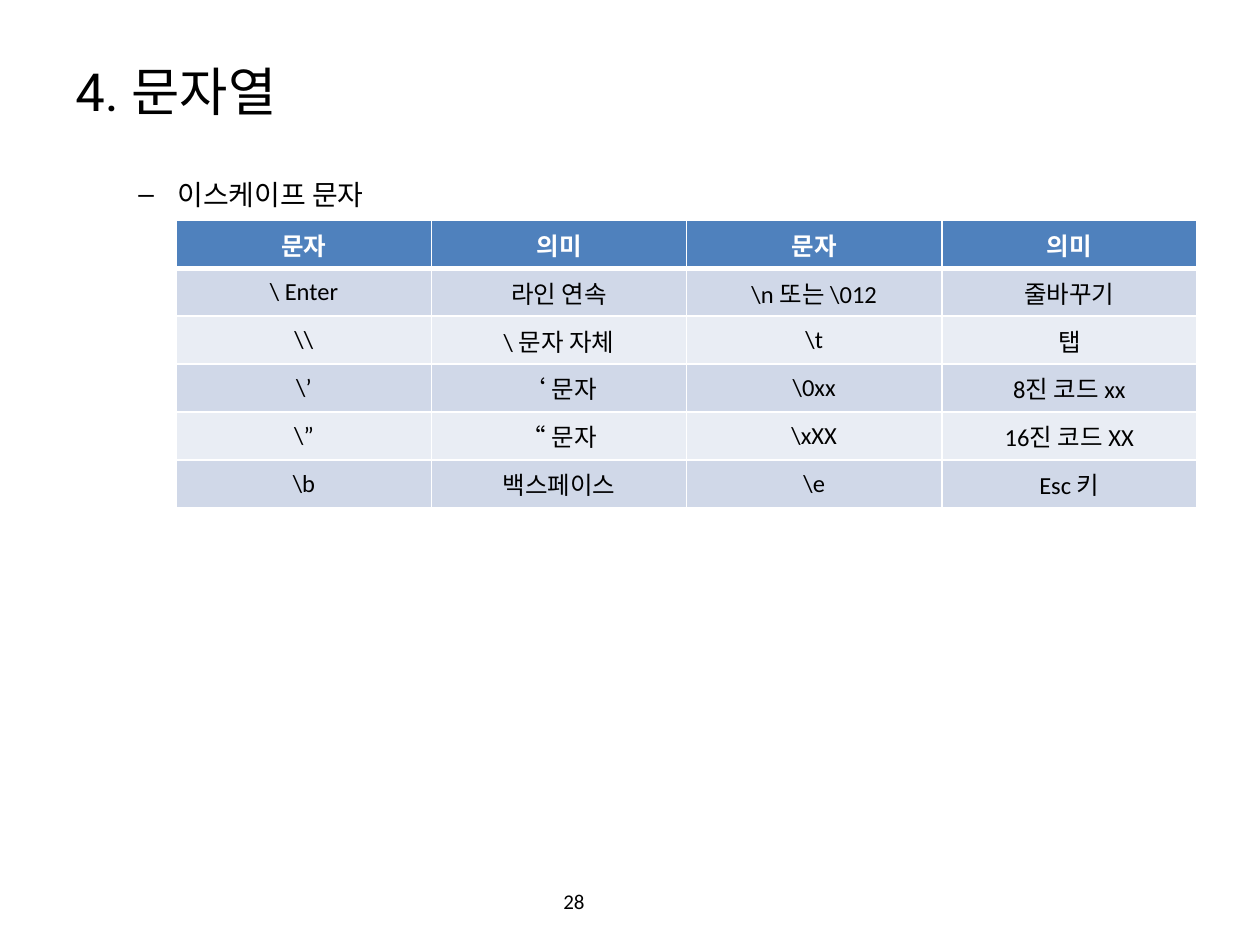
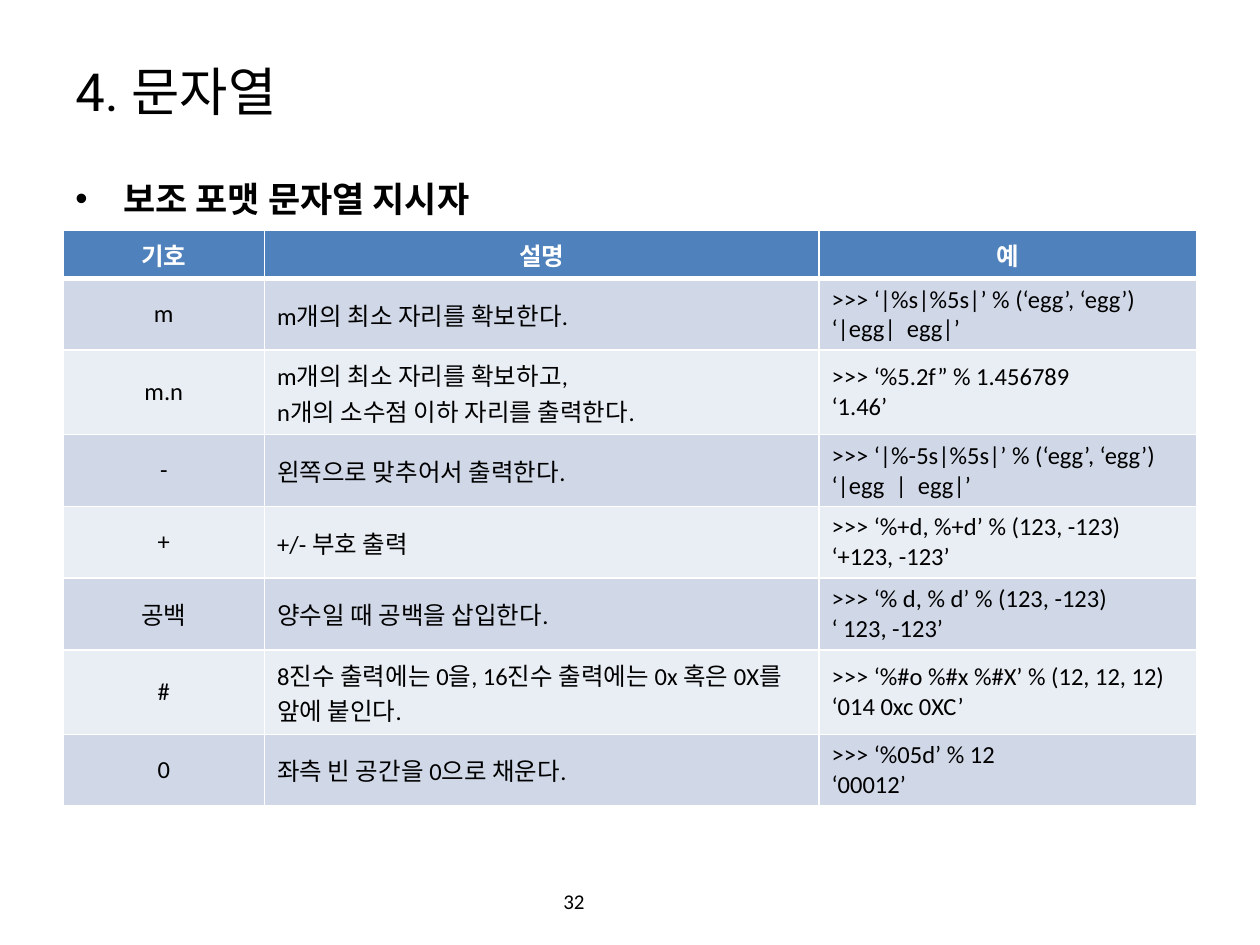
from lxml import etree
from pptx import Presentation
from pptx.dml.color import RGBColor
from pptx.enum.text import MSO_ANCHOR, PP_ALIGN
from pptx.oxml.ns import qn
from pptx.util import Inches, Pt

MIDDLE, TOP = MSO_ANCHOR.MIDDLE, MSO_ANCHOR.TOP
LEFT, CENTER = PP_ALIGN.LEFT, PP_ALIGN.CENTER
COLORS = {
    "text": "000000",
    "header": "4F81BD",
    "header_text": "FFFFFF",
    "band_dark": "D0D8E8",
    "band_light": "E9EDF4",
    "border": "FFFFFF",
}
HEADING_FONT, BODY_FONT = "Roboto", "Calibri"

SLIDES = [
    {
        "topic": "이스케이프 문자", "size": 16, "bold": False,
        "bullet": "–", "indent": 0.81, "hanging": 0.31,
        "number": "28",
        "table_at": (1.4, 1.75),
        "columns": [2.025] * 4,
        "row_heights": [0.38] * 6,
        "left_aligned": (),
        "rows": [
            ("문자", "의미", "문자", "의미"),
            ("\\ Enter", "라인 연속", "\\n 또는 \\012", "줄바꾸기"),
            ("\\\\", "\\ 문자 자체", "\\t", "탭"),
            ("\\’", "‘ 문자", "\\0xx", "8진 코드 xx"),
            ("\\”", "“ 문자", "\\xXX", "16진 코드 XX"),
            ("\\b", "백스페이스", "\\e", "Esc 키"),
        ],
    },
    {
        "topic": "보조 포맷 문자열 지시자", "size": 20, "bold": True,
        "bullet": "•", "indent": 0.38, "hanging": 0.38,
        "number": "32",
        "table_at": (0.5, 1.83),
        "columns": [1.6, 4.4, 3],
        "row_heights": [0.38, 0.57, 0.67, 0.57, 0.57, 0.57, 0.67, 0.57],
        "left_aligned": (1, 2),
        "rows": [
            ("기호", "설명", "예"),
            ("m", "m개의 최소 자리를 확보한다.",
             ">>> ‘|%s|%5s|’ % (‘egg’, ‘egg’)\n‘|egg|  egg|’"),
            ("m.n", "m개의 최소 자리를 확보하고,\nn개의 소수점 이하 자리를 출력한다.",
             ">>> ‘%5.2f” % 1.456789\n‘1.46’"),
            ("-", "왼쪽으로 맞추어서 출력한다.",
             ">>> ‘|%-5s|%5s|’ % (‘egg’, ‘egg’)\n‘|egg  |  egg|’"),
            ("+", "+/- 부호 출력",
             ">>> ‘%+d, %+d’ % (123, -123)\n‘+123, -123’"),
            ("공백", "양수일 때 공백을 삽입한다.",
             ">>> ‘% d, % d’ % (123, -123)\n‘ 123, -123’"),
            ("#", "8진수 출력에는 0을, 16진수 출력에는 0x 혹은 0X를 앞에 붙인다.",
             ">>> ‘%#o %#x %#X’ % (12, 12, 12)\n‘014 0xc 0XC’"),
            ("0", "좌측 빈 공간을 0으로 채운다.",
             ">>> ‘%05d’ % 12\n‘00012’"),
        ],
    },
]


def write(frame, text, size, font, align=LEFT, color="text", bold=False):
    frame.text = text
    for paragraph in frame.paragraphs:
        paragraph.alignment = align
        for run in paragraph.runs:
            run.font.size = Pt(size)
            run.font.name = font
            run.font.bold = bold
            run.font.color.rgb = RGBColor.from_string(COLORS[color])


def add_text(slide, box, anchor, *style, **options):
    frame = slide.shapes.add_textbox(*map(Inches, box)).text_frame
    frame.word_wrap = True
    frame.vertical_anchor = anchor
    write(frame, *style, **options)
    return frame.paragraphs[0]


prs = Presentation()
prs.slide_width, prs.slide_height = Inches(10), Inches(7.5)

for content in SLIDES:
    slide = prs.slides.add_slide(prs.slide_layouts[6])

    # Title and page number
    add_text(slide, (0.5, 0.3, 9, 0.84), MIDDLE, "4. 문자열", 30, HEADING_FONT)
    add_text(slide, (3.39, 6.95, 2.33, 0.4), MIDDLE, content["number"], 12,
             BODY_FONT, align=CENTER)

    # Bulleted topic
    topic = add_text(slide, (0.5, 1.36, 9, 5.34), TOP, content["topic"],
                     content["size"], HEADING_FONT, bold=content["bold"])
    topic.space_before = Pt(content["size"] * 0.2)
    properties = topic._p.get_or_add_pPr()
    properties.set("marL", str(Inches(content["indent"])))
    properties.set("indent", str(-Inches(content["hanging"])))
    etree.SubElement(properties, qn("a:buFont"), typeface="Arial")
    etree.SubElement(properties, qn("a:buChar"), char=content["bullet"])

    # Table of characters or format codes
    rows, columns, heights = (content[k] for k in ("rows", "columns", "row_heights"))
    left, top = content["table_at"]
    table = slide.shapes.add_table(
        len(rows), len(columns), Inches(left), Inches(top),
        Inches(sum(columns)), Inches(sum(heights))).table
    table.horz_banding = False
    for column, width in zip(table.columns, columns):
        column.width = Inches(width)

    for r, (row, height) in enumerate(zip(rows, heights)):
        table.rows[r].height = Inches(height)
        is_header = r == 0
        fill = "header" if is_header else "band_dark" if r % 2 else "band_light"
        for c, text in enumerate(row):
            cell = table.cell(r, c)
            cell.vertical_anchor = MIDDLE
            cell.fill.solid()
            cell.fill.fore_color.rgb = RGBColor.from_string(COLORS[fill])
            is_left = c in content["left_aligned"] and not is_header
            write(cell.text_frame, text, 14, BODY_FONT,
                  align=LEFT if is_left else CENTER,
                  color="header_text" if is_header else "text", bold=is_header)

            # White borders, thicker under the header
            widths = {"L": 1, "R": 1, "T": 3 if r == 1 else 1, "B": 3 if is_header else 1}
            for position, (side, points) in enumerate(widths.items()):
                line = etree.Element(qn(f"a:ln{side}"), w=str(Pt(points)))
                solid = etree.SubElement(line, qn("a:solidFill"))
                etree.SubElement(solid, qn("a:srgbClr"), val=COLORS["border"])
                cell._tc.get_or_add_tcPr().insert(position, line)

prs.save("out.pptx")
